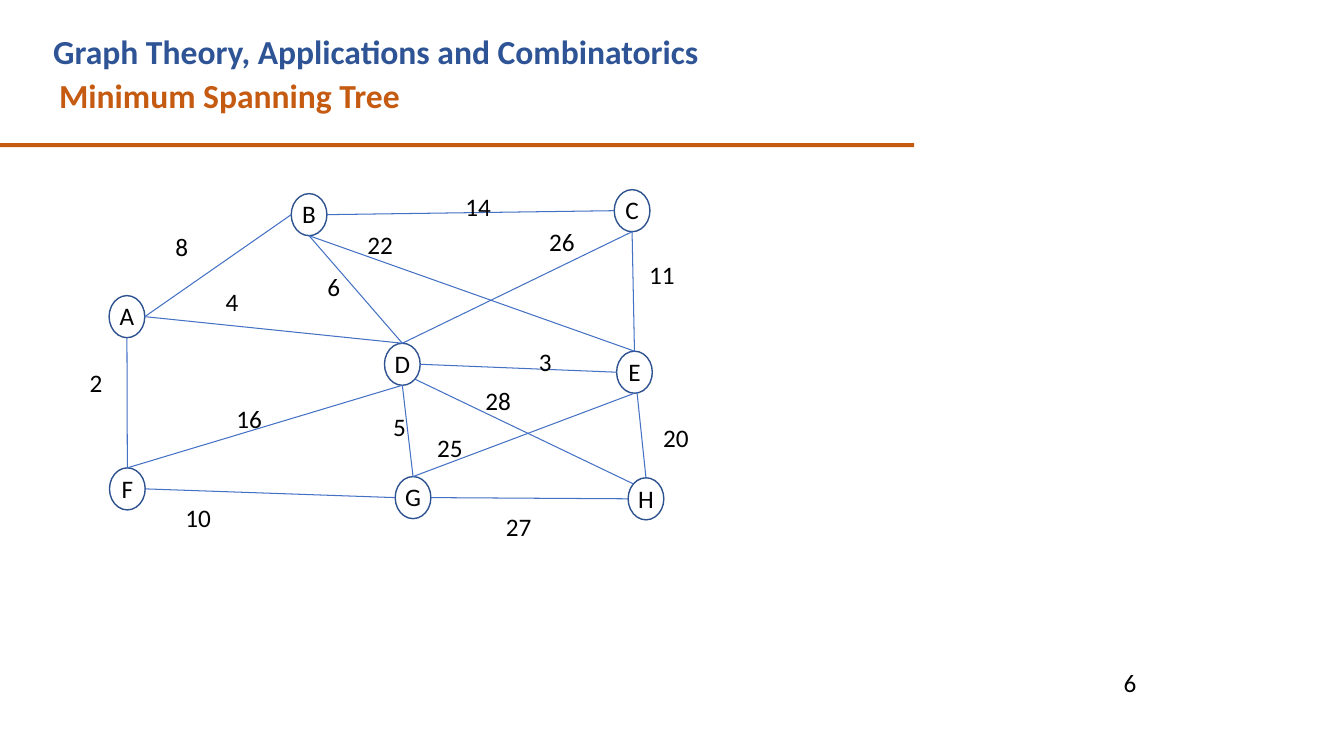
"""Build a slide showing a weighted graph for the minimum spanning tree problem."""
from dataclasses import dataclass

from pptx import Presentation
from pptx import util as u
from pptx.dml.color import RGBColor
from pptx.enum import shapes, text

BLUE = RGBColor(0x2E, 0x54, 0x96)
ORANGE = RGBColor(0xC5, 0x5A, 0x11)
NODE_LINE = RGBColor(0x2E, 0x52, 0x8F)
EDGE_LINE = RGBColor(0x44, 0x71, 0xC4)
BLACK = RGBColor(0, 0, 0)

NODE_WIDTH, NODE_HEIGHT = 0.9, 1.06
DIAGONAL = 0.71
SIDES = {
    "top": (0, -1), "bottom": (0, 1), "left": (-1, 0), "right": (1, 0),
    "lower right": (DIAGONAL, DIAGONAL), "upper left": (-DIAGONAL, -DIAGONAL),
    "right of bottom": (0.14, 0.94),
}
FRAME_FORMAT = {
    "margin_left": 0, "margin_right": 0, "margin_top": u.Cm(0.03), "margin_bottom": 0,
    "word_wrap": True, "auto_size": text.MSO_AUTO_SIZE.NONE,
    "vertical_anchor": text.MSO_ANCHOR.TOP,
}
NODE_FRAME_FORMAT = FRAME_FORMAT | {
    "margin_top": 0, "margin_bottom": u.Cm(0.04), "word_wrap": False,
    "vertical_anchor": text.MSO_ANCHOR.MIDDLE,
}
BODY_FONT = {"name": "Calibri", "size": u.Pt(18), "bold": False}
TITLE_FONT = {"name": "Calibri", "size": u.Pt(24), "bold": True}


@dataclass(frozen=True)
class Node:
    name: str
    x: float
    y: float

    def anchor(self, side: str) -> tuple[int, int]:
        across, down = SIDES[side]
        return u.Cm(self.x + across * NODE_WIDTH / 2), u.Cm(self.y + down * NODE_HEIGHT / 2)


@dataclass(frozen=True)
class Label:
    wording: str
    left: float
    top: float


@dataclass(frozen=True)
class Edge:
    start: str
    start_side: str
    end: str
    end_side: str
    weight: Label


NODES = [
    Node("A", 3.2, 7.98), Node("D", 10.14, 9.18), Node("C", 15.93, 5.31), Node("B", 7.79, 5.41),
    Node("E", 15.99, 9.38), Node("F", 3.21, 12.32), Node("G", 10.41, 12.54), Node("H", 16.28, 12.57),
]
EDGES = [
    Edge("A", "right", "B", "left", Label("8", 4.42, 5.79)),
    Edge("B", "right", "C", "left", Label("14", 11.73, 4.78)),
    Edge("C", "bottom", "E", "top", Label("11", 16.36, 6.5)),
    Edge("B", "bottom", "E", "top", Label("22", 9.26, 5.74)),
    Edge("D", "top", "C", "bottom", Label("26", 13.84, 5.68)),
    Edge("D", "right", "E", "left", Label("3", 13.58, 8.69)),
    Edge("B", "bottom", "D", "top", Label("6", 8.25, 6.81)),
    Edge("A", "right", "D", "top", Label("4", 5.69, 7.19)),
    Edge("A", "bottom", "F", "top", Label("2", 2.26, 9.22)),
    Edge("F", "top", "D", "bottom", Label("16", 5.96, 10.13)),
    Edge("F", "right", "G", "left", Label("10", 4.67, 12.62)),
    Edge("G", "right", "H", "left", Label("27", 12.75, 12.85)),
    Edge("E", "right of bottom", "H", "top", Label("20", 16.71, 10.62)),
    Edge("D", "lower right", "H", "upper left", Label("28", 12.23, 9.68)),
    Edge("G", "top", "E", "bottom", Label("25", 11.02, 10.87)),
    Edge("D", "bottom", "G", "top", Label("5", 9.91, 10.34)),
]
PAGE_NUMBER = Label("6", 28.32, 16.79)


def apply_format(target: object, values: dict) -> None:
    for name, value in values.items():
        setattr(target, name, value)


def write(paragraph, wording: str, font: dict, color: RGBColor, alignment=text.PP_ALIGN.LEFT) -> None:
    run = paragraph.add_run()
    run.text = wording
    apply_format(run.font, font)
    run.font.color.rgb = color
    paragraph.alignment = alignment


def fill_title(slide) -> None:
    title = slide.shapes.title
    apply_format(title, {"left": u.Cm(1.24), "top": u.Cm(0.65),
                         "width": u.Cm(16.6), "height": u.Cm(2.29)})
    apply_format(title.text_frame, FRAME_FORMAT)
    paragraph = title.text_frame.paragraphs[0]
    write(paragraph, "Graph Theory, Applications and Combinatorics ", TITLE_FONT, BLUE)
    write(paragraph, "Minimum Spanning Tree", TITLE_FONT, ORANGE)
    paragraph.line_spacing = 1.09
    properties = paragraph._p.get_or_add_pPr()
    properties.set("marL", str(u.Cm(0.25)))
    properties.set("indent", str(u.Cm(-0.15)))


def draw_rule(slide) -> None:
    rule = slide.shapes.add_shape(
        shapes.MSO_SHAPE.RECTANGLE, 0, u.Cm(3.61), u.Cm(23.04), u.Cm(0.1))
    rule.shadow.inherit = False
    rule.fill.solid()
    rule.fill.fore_color.rgb = ORANGE
    rule.line.fill.background()


def outline(shape, color: RGBColor, points: float) -> None:
    shape.shadow.inherit = False
    shape.fill.background()
    apply_format(shape.line, {"width": u.Pt(points)})
    shape.line.color.rgb = color


def draw_node(slide, node: Node) -> None:
    oval = slide.shapes.add_shape(
        shapes.MSO_SHAPE.OVAL, u.Cm(node.x - NODE_WIDTH / 2), u.Cm(node.y - NODE_HEIGHT / 2),
        u.Cm(NODE_WIDTH), u.Cm(NODE_HEIGHT))
    outline(oval, NODE_LINE, 1)
    apply_format(oval.text_frame, NODE_FRAME_FORMAT)
    write(oval.text_frame.paragraphs[0], node.name, BODY_FONT, BLACK, text.PP_ALIGN.CENTER)


def draw_edges(slide, edges: list[Edge], nodes: dict[str, Node]) -> None:
    segments = [(nodes[edge.start].anchor(edge.start_side), nodes[edge.end].anchor(edge.end_side))
                for edge in edges]
    builder = slide.shapes.build_freeform(*segments[0][0])
    for index, (start, end) in enumerate(segments):
        if index:
            builder.move_to(*start)
        builder.add_line_segments([end], close=False)
    outline(builder.convert_to_shape(), EDGE_LINE, 0.75)


def draw_label(slide, label: Label) -> None:
    box = slide.shapes.add_textbox(u.Cm(label.left), u.Cm(label.top), u.Cm(0.75), u.Cm(0.84))
    apply_format(box.text_frame, FRAME_FORMAT)
    write(box.text_frame.paragraphs[0], label.wording, BODY_FONT, BLACK)


def main() -> None:
    presentation = Presentation()
    apply_format(presentation, {"slide_width": u.Cm(33.87), "slide_height": u.Cm(19.05)})
    slide = presentation.slides.add_slide(presentation.slide_layouts.get_by_name("Title Only"))
    fill_title(slide)
    draw_rule(slide)
    for node in NODES:
        draw_node(slide, node)
    draw_edges(slide, EDGES, {node.name: node for node in NODES})
    for label in [edge.weight for edge in EDGES] + [PAGE_NUMBER]:
        draw_label(slide, label)
    presentation.save("out.pptx")


if __name__ == "__main__":
    main()
